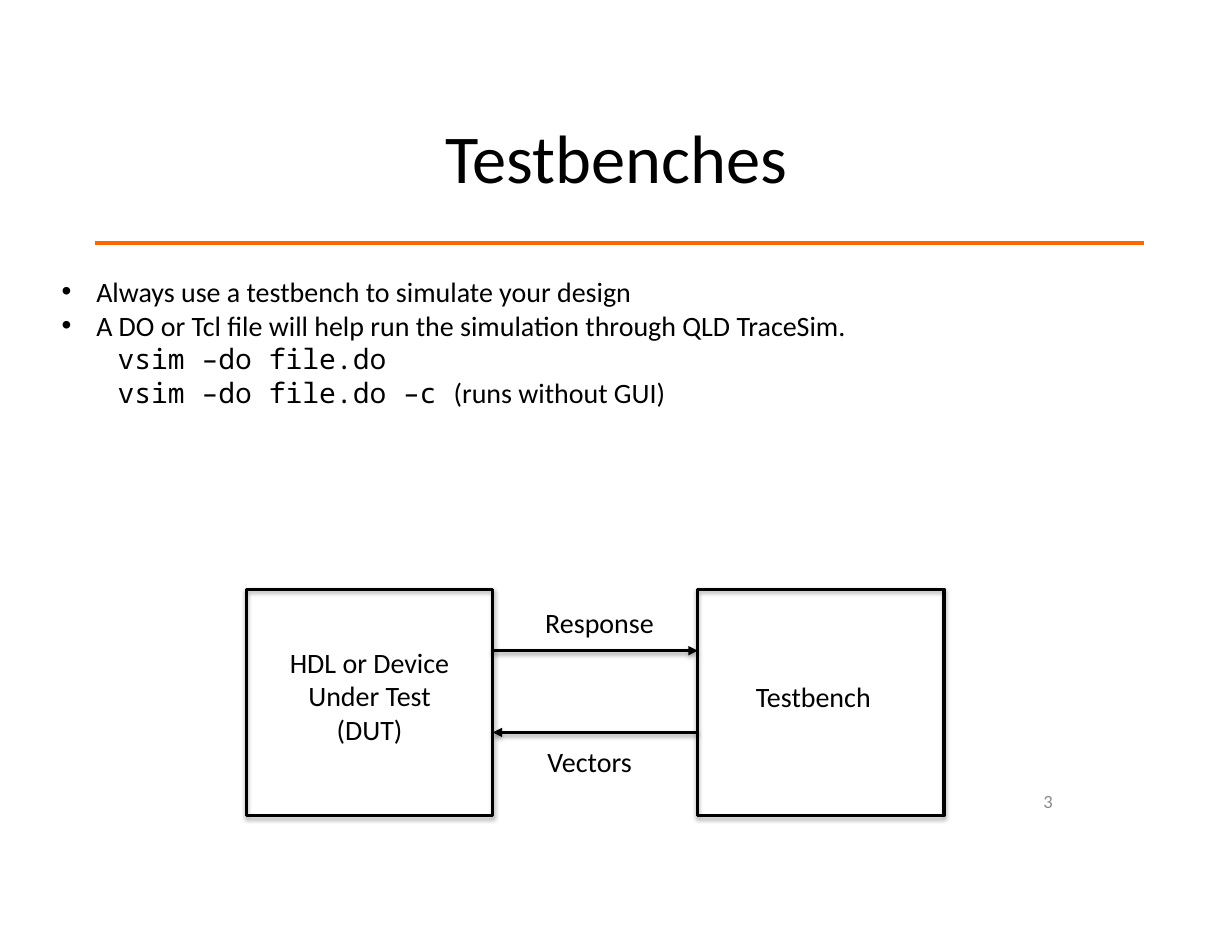
from lxml import etree
from pptx import Presentation
from pptx.dml.color import RGBColor
from pptx.enum import shapes, text
from pptx.oxml import ns
from pptx.util import Inches, Pt

COLORS = {"ink": "000000", "rule": "FF6600", "number": "8C8C8C"}
BODY, CODE = "Calibri", "Noto Sans Mono"
LEFT, CENTER, RIGHT = text.PP_ALIGN.LEFT, text.PP_ALIGN.CENTER, text.PP_ALIGN.RIGHT

TITLE = "Testbenches"
BULLETS = [
    (True, [("Always use a testbench to simulate your design", BODY)]),
    (True, [("A DO or Tcl file will help run the simulation through QLD TraceSim.", BODY)]),
    (False, [("vsim –do file.do", CODE)]),
    (False, [("vsim –do file.do –c ", CODE), ("(runs without GUI)", BODY)]),
]
LABELS = [
    (["HDL or Device", "Under Test", "(DUT)"], (2.38, 5.71, 1.84, 1.01), CENTER),
    (["Testbench"], (6.65, 6.02, 1.38, 0.4), LEFT),
    (["Vectors"], (4.79, 6.6, 1.06, 0.4), LEFT),
    (["Response"], (4.77, 5.36, 1.34, 0.4), LEFT),
]
BOX_LEFTS = (2.2, 6.23)
BOX_TOP, BOX_WIDTH, BOX_HEIGHT = 5.26, 2.2, 2.02
DUT_EDGE, BENCH_EDGE = BOX_LEFTS[0] + BOX_WIDTH, BOX_LEFTS[1]
ARROWS = [(DUT_EDGE, BENCH_EDGE, 5.81), (BENCH_EDGE, DUT_EDGE, 6.54)]


def add_child(parent, tag, **attributes):
    return etree.SubElement(parent, ns.qn(tag), attributes)


def style_line(shape, color, width):
    shape.line.color.rgb = RGBColor.from_string(COLORS[color])
    shape.line.width = Pt(width)


def add_shadow(shape, distance, opacity):
    effects = add_child(shape._element.spPr, "a:effectLst")
    shadow = add_child(effects, "a:outerShdw", blurRad=str(Pt(3.1)), dist=str(Pt(distance)),
                       dir="5400000", rotWithShape="0")
    color = add_child(shadow, "a:srgbClr", val=COLORS["ink"])
    add_child(color, "a:alpha", val=str(opacity * 1000))


def add_text_box(slide, box, wrap=True, inset=True):
    frame = slide.shapes.add_textbox(*map(Inches, box)).text_frame
    frame.word_wrap = wrap
    if not inset:
        frame.margin_left = frame.margin_right = frame.margin_top = frame.margin_bottom = 0
    return frame


def style_run(run, size, color="ink", font=BODY):
    run.font.size = Pt(size)
    run.font.name = font
    run.font.color.rgb = RGBColor.from_string(COLORS[color])


def write_lines(frame, lines, size, alignment, color="ink"):
    frame.text = "\n".join(lines)
    for paragraph in frame.paragraphs:
        paragraph.alignment = alignment
        style_run(paragraph.runs[0], size, color)


def add_bullets(slide):
    frame = add_text_box(slide, (0.55, 2.45, 9.9, 2.75), inset=False)
    for index, (bulleted, pieces) in enumerate(BULLETS):
        paragraph = frame.paragraphs[0] if index == 0 else frame.add_paragraph()
        for words, font in pieces:
            run = paragraph.add_run()
            run.text = words
            style_run(run, 18, font=font)
        properties = paragraph._p.get_or_add_pPr()
        if bulleted:
            properties.set("marL", str(Inches(0.31)))
            properties.set("indent", str(-Inches(0.31)))
            add_child(properties, "a:buFont", typeface="Arial")
            add_child(properties, "a:buChar", char="•")
        else:
            paragraph.level = 1
            properties.set("marL", str(Inches(0.5)))
            properties.set("indent", "0")
            add_child(properties, "a:buNone")


def add_diagram(slide):
    for left in BOX_LEFTS:
        box = slide.shapes.add_shape(shapes.MSO_SHAPE.RECTANGLE,
                                     *map(Inches, (left, BOX_TOP, BOX_WIDTH, BOX_HEIGHT)))
        box.fill.background()
        style_line(box, "ink", 2)
        add_shadow(box, 1.8, 35)
    for start, end, y in ARROWS:
        arrow = slide.shapes.add_connector(shapes.MSO_CONNECTOR.STRAIGHT,
                                           *map(Inches, (start, y, end, y)))
        style_line(arrow, "ink", 2)
        add_child(arrow.line._get_or_add_ln(), "a:tailEnd", type="triangle")
        add_shadow(arrow, 1.6, 38)
    for lines, box, alignment in LABELS:
        write_lines(add_text_box(slide, box, wrap=False), lines, 18, alignment)


def main():
    presentation = Presentation()
    presentation.slide_width, presentation.slide_height = Inches(11), Inches(8.5)
    slide = presentation.slides.add_slide(presentation.slide_layouts[6])

    rule = slide.shapes.add_connector(shapes.MSO_CONNECTOR.STRAIGHT,
                                      *map(Inches, (0.85, 2.17, 10.21, 2.17)))
    style_line(rule, "rule", 1.98)
    add_child(rule._element.spPr, "a:effectLst")

    title = add_text_box(slide, (1.51, 1.03, 7.99, 0.74), inset=False)
    write_lines(title, [TITLE], 44, CENTER)
    add_bullets(slide)
    number = add_text_box(slide, (7.17, 6.95, 2.33, 0.4))
    number.vertical_anchor = text.MSO_ANCHOR.MIDDLE
    write_lines(number, ["3"], 12, RIGHT, "number")
    add_diagram(slide)
    presentation.save("out.pptx")


if __name__ == "__main__":
    main()
